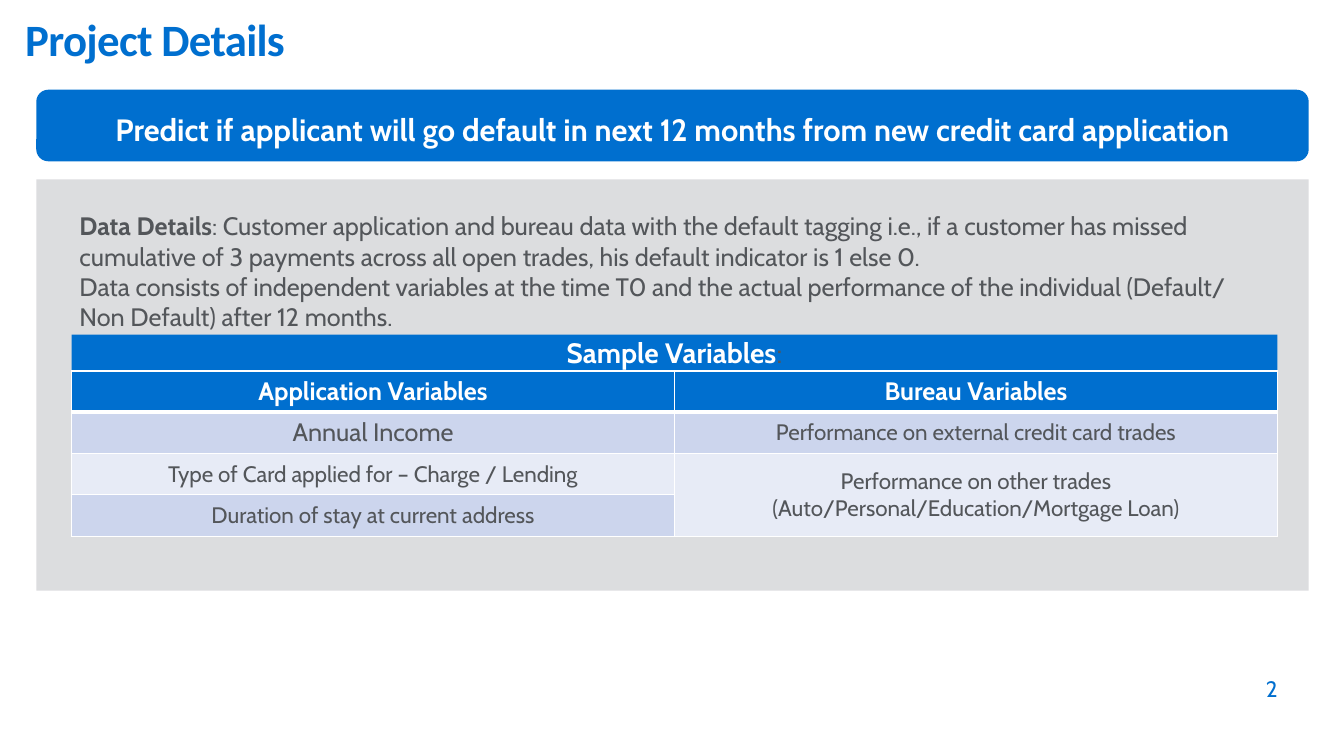
import pptx
import pptx.dml.color
import pptx.enum.shapes
import pptx.enum.text
import pptx.oxml
import pptx.oxml.ns
import pptx.util

ALIGN = pptx.enum.text.PP_ALIGN
ANCHOR = pptx.enum.text.MSO_ANCHOR
SHAPE = pptx.enum.shapes.MSO_SHAPE
COLORS = {
    "blue": "006FCF",
    "grey": "53565A",
    "panel": "DCDDDF",
    "white": "FFFFFF",
    "band": "CCD5ED",
    "light": "E7EBF6",
}


class SlideBuilder:
    """Draws styled elements on one slide, with lengths in px (100 to the inch)."""

    PX = 9144
    FONT = "Cabin"

    def __init__(self, deck):
        self.page = deck.slides.add_slide(deck.slide_layouts[5])

    def place(self, *lengths):
        return [pptx.util.Emu(length * self.PX) for length in lengths]

    def color(self, name):
        return pptx.dml.color.RGBColor.from_string(COLORS[name])

    def style(self, span, size, color, bold=False, font=FONT):
        span.font.name = font
        span.font.size = pptx.util.Pt(size)
        span.font.bold = bold
        span.font.color.rgb = self.color(color)

    def frame(self, box, anchor, inset=True):
        frame = box.text_frame
        frame.word_wrap = True
        frame.vertical_anchor = anchor
        if not inset:
            frame.margin_left = frame.margin_right = 0
            frame.margin_top = frame.margin_bottom = 0
        return frame

    def fill_paragraph(self, para, spans, size, align=ALIGN.LEFT):
        para.alignment = align
        for text, color, bold in spans:
            span = para.add_run()
            span.text = text
            self.style(span, size, color, bold)

    def title(self, text, *area):
        box = self.page.shapes.title
        box.left, box.top, box.width, box.height = self.place(*area)
        frame = self.frame(box, ANCHOR.TOP, inset=False)
        frame.auto_size = pptx.enum.text.MSO_AUTO_SIZE.NONE
        frame.text = text
        para = frame.paragraphs[0]
        para.alignment = ALIGN.LEFT
        para.line_spacing = 0.9
        span = para.runs[0]
        self.style(span, 32, "blue", True, "Calibri")
        span.font._element.set("spc", "-50")

    def shape(self, kind, fill, *area):
        box = self.page.shapes.add_shape(kind, *self.place(*area))
        box.shadow.inherit = False
        box.fill.solid()
        box.fill.fore_color.rgb = self.color(fill)
        box.line.fill.background()
        return box

    def text(self, paragraphs, size, *area, align=ALIGN.LEFT, anchor=ANCHOR.TOP, inset=True):
        box = self.page.shapes.add_textbox(*self.place(*area))
        frame = self.frame(box, anchor, inset)
        for index, spans in enumerate(paragraphs):
            para = frame.add_paragraph() if index else frame.paragraphs[0]
            self.fill_paragraph(para, spans, size, align)

    def borders(self, cell, widths):
        properties = cell._tc.get_or_add_tcPr()
        for index, (side, width) in enumerate(widths.items()):
            line = pptx.oxml.parse_xml(
                f'<a:ln{side} {pptx.oxml.ns.nsdecls("a")} w="{pptx.util.Pt(width)}">'
                f'<a:solidFill><a:srgbClr val="{COLORS["white"]}"/></a:solidFill></a:ln{side}>'
            )
            properties.insert(index, line)

    def table(self, rows, fills, sizes, merges, row_height, left, top, width):
        area = self.place(left, top, width, row_height * len(rows))
        table = self.page.shapes.add_table(len(rows), len(rows[0]), *area).table
        for row in table.rows:
            row.height = self.place(row_height)[0]
        for y, row in enumerate(rows):
            for x, text in enumerate(row):
                cell = table.cell(y, x)
                cell.vertical_anchor = ANCHOR.MIDDLE
                cell.fill.solid()
                cell.fill.fore_color.rgb = self.color(fills[y])
                self.borders(cell, {"L": 1, "R": 1, "T": 3 if y == 1 else 1, "B": 3 if y == 0 else 1})
                if text:
                    spans = [(text, "grey" if y else "white", y == 0)]
                    self.fill_paragraph(cell.text_frame.paragraphs[0], spans, sizes[y][x], ALIGN.CENTER)
        for first, last in merges:
            table.cell(*first).merge(table.cell(*last))


def main():
    deck = pptx.Presentation()
    deck.slide_width = pptx.util.Inches(13.33)
    deck.slide_height = pptx.util.Inches(7.5)
    slide = SlideBuilder(deck)

    slide.title("Project Details", 25, 18, 1200, 52)
    slide.shape(SHAPE.RECTANGLE, "panel", 36, 178, 1262, 408)
    slide.text([[("2", "blue", False)]], 16, 1200, 662, 67, 34,
               align=ALIGN.RIGHT, anchor=ANCHOR.BOTTOM, inset=False)

    details = [
        [
            ("Data Details", "grey", True),
            (": Customer application and bureau data with the default tagging i.e., if a customer has missed "
             "cumulative of 3 payments across all open trades, his default indicator is 1 else 0.", "grey", False),
        ],
        [
            ("Data consists of independent variables at the time T0 and the actual performance of the individual "
             "(Default/ Non Default) after 12 months.", "grey", False),
        ],
    ]
    slide.text(details, 18, 69, 204, 1196, 131)

    banner = slide.shape(SHAPE.ROUNDED_RECTANGLE, "blue", 36, 89, 1262, 71)
    para = slide.frame(banner, ANCHOR.MIDDLE).paragraphs[0]
    para.line_spacing = 1.2
    para.space_before = pptx.util.Pt(9)
    goal = "Predict if applicant will go default in next 12 months from new credit card application"
    slide.fill_paragraph(para, [(goal, "white", True)], 22, ALIGN.CENTER)

    variables = [
        ("Application Variables", "Bureau Variables"),
        ("Annual Income", "Performance on external credit card trades"),
        ("Type of Card applied for – Charge / Lending",
         "Performance on other trades (Auto/Personal/Education/Mortgage Loan)"),
        ("Duration of stay at current address", ""),
    ]
    slide.table(variables, ["blue", "band", "light", "band"], [(18, 18), (18, 16), (16, 16), (16, 16)],
                [((2, 1), (3, 1))], 41, 71, 368, 1196)

    heading = slide.shape(SHAPE.RECTANGLE, "blue", 71, 332, 1196, 35)
    para = slide.frame(heading, ANCHOR.MIDDLE, inset=False).paragraphs[0]
    slide.fill_paragraph(para, [("Sample Variables", "white", True), (":", "grey", False)], 20, ALIGN.CENTER)

    deck.save("out.pptx")


if __name__ == "__main__":
    main()
